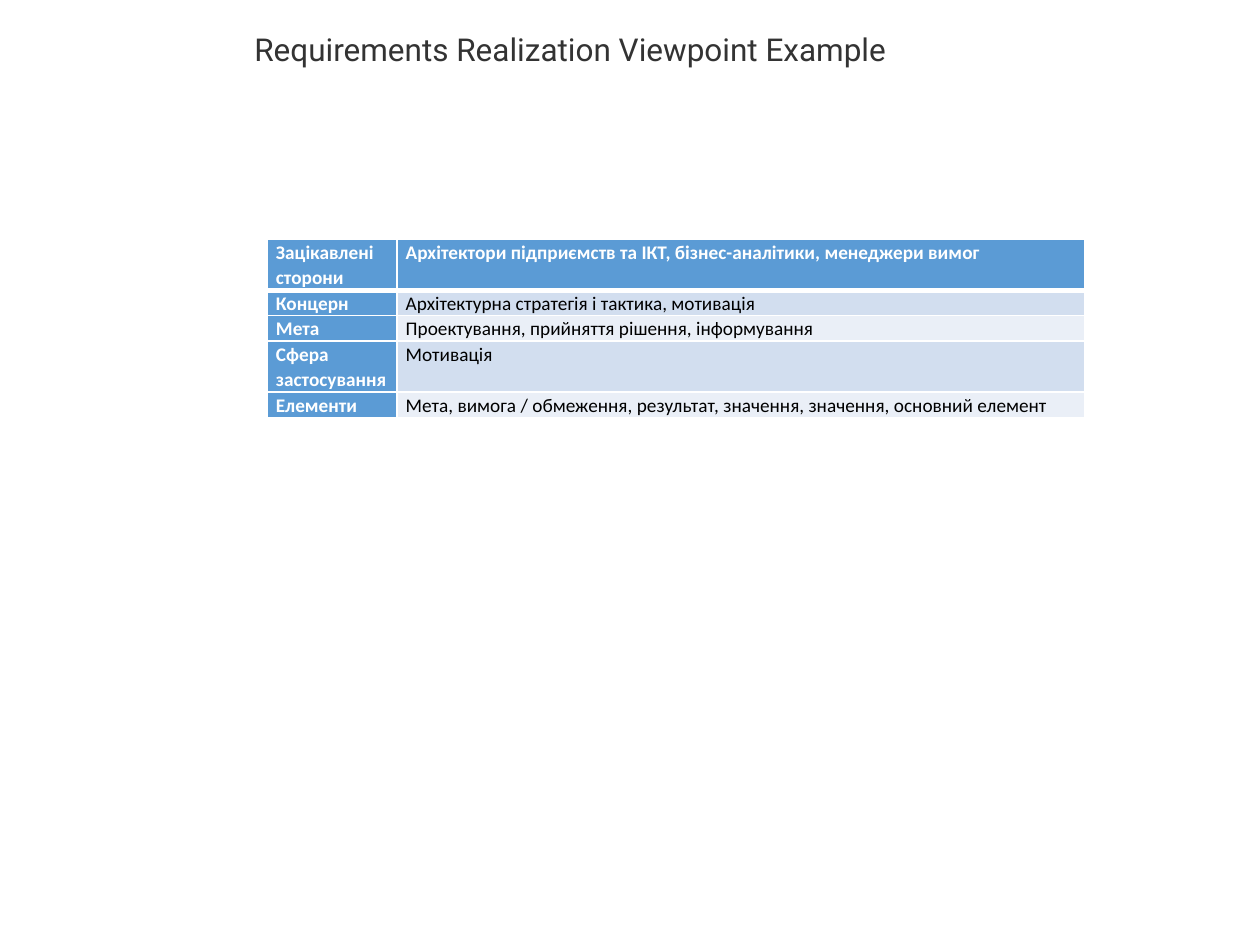
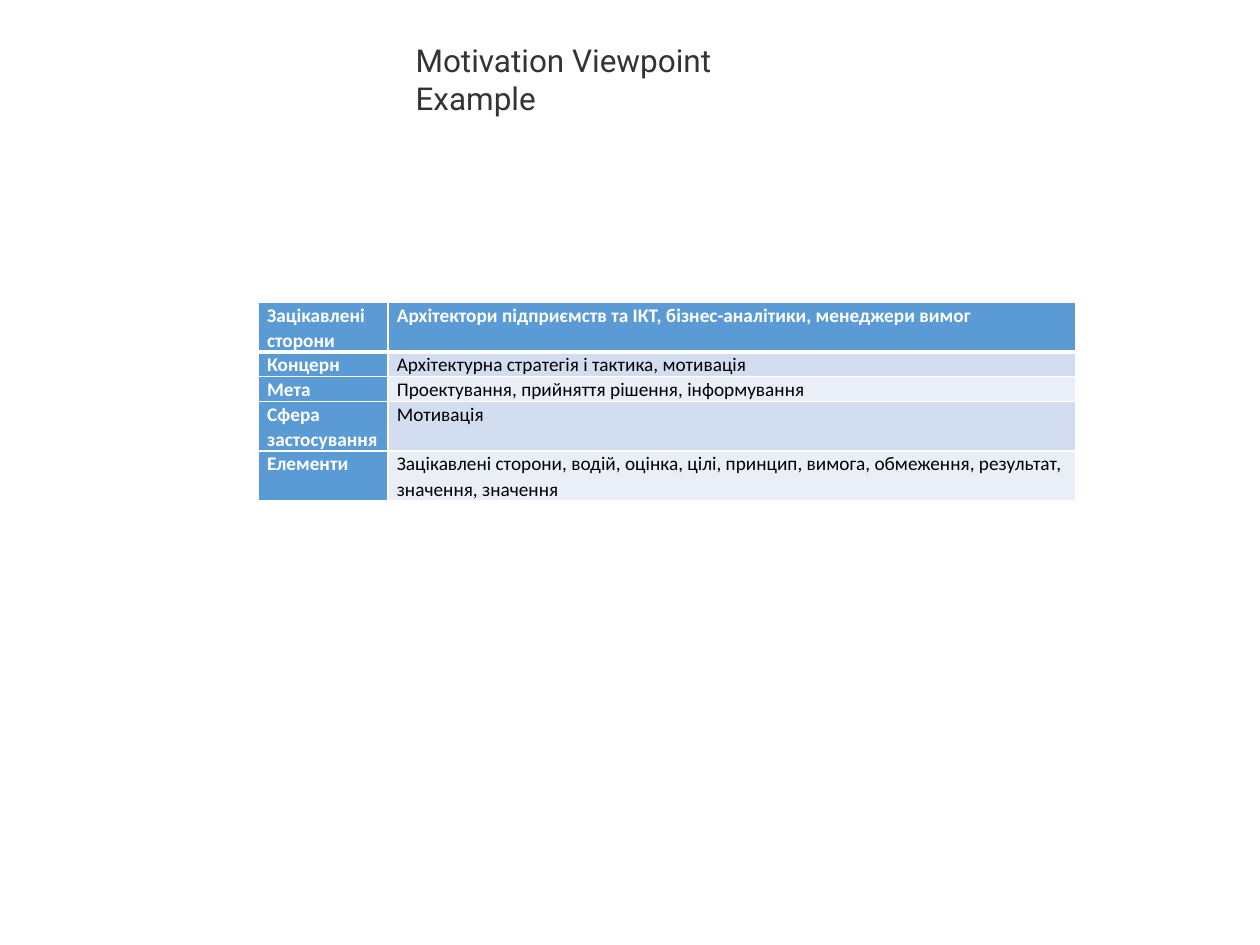
from dataclasses import dataclass

from lxml.etree import SubElement
from pptx import Presentation
from pptx.dml.color import RGBColor
from pptx.enum.text import MSO_AUTO_SIZE
from pptx.oxml.ns import qn
from pptx.util import Inches, Pt


@dataclass(frozen=True)
class Theme:
    """Hold the colours, fonts, sizes and grid of the deck."""
    accent: str = "5B9BD5"
    bands: tuple = ("EAEFF7", "D2DEEF")
    white: str = "FFFFFF"
    body: str = "000000"
    heading: str = "333333"
    heading_font: str = "Roboto"
    body_font: str = "Calibri"
    heading_size: int = 18
    body_size: int = 11
    line_spacing: float = 1.07
    rule: int = 1
    header_rule: int = 3
    columns: int = 100
    rows: int = 75


def write(frame, text, *, font, size, color, bold=False, spacing=None):
    """Write one formatted paragraph into a text frame."""
    paragraph = frame.paragraphs[0]
    paragraph.line_spacing = spacing
    run = paragraph.add_run()
    run.text = text
    run.font.name = font
    run.font.size = Pt(size)
    run.font.bold = bold
    run.font.color.rgb = RGBColor.from_string(color)


def add_border(cell, side, width, color):
    """Draw one side of a cell's border."""
    line = SubElement(cell._tc.get_or_add_tcPr(), qn(f"a:ln{side}"), w=str(Pt(width)))
    fill = SubElement(line, qn("a:solidFill"))
    SubElement(fill, qn("a:srgbClr"), val=color)


class Deck:
    """Build slides on a shared grid and theme."""

    def __init__(self, theme):
        """Start an empty presentation."""
        self.theme = theme
        self.presentation = Presentation()
        self.presentation.slide_width = Inches(10)
        self.presentation.slide_height = Inches(7.5)
        self.slide = None

    def x(self, columns):
        """Turn grid columns into a length."""
        return round(self.presentation.slide_width * columns / self.theme.columns)

    def y(self, rows):
        """Turn grid rows into a length."""
        return round(self.presentation.slide_height * rows / self.theme.rows)

    def add_slide(self):
        """Open a new blank slide."""
        self.slide = self.presentation.slides.add_slide(self.presentation.slide_layouts[6])

    def add_title(self, text, left, top, width, wrap):
        """Place the slide title."""
        frame = self.slide.shapes.add_textbox(
            self.x(left), self.y(top), self.x(width), self.y(4)).text_frame
        frame.word_wrap = wrap
        frame.auto_size = MSO_AUTO_SIZE.SHAPE_TO_FIT_TEXT
        write(frame, text, font=self.theme.heading_font,
              size=self.theme.heading_size, color=self.theme.heading)

    def add_viewpoint(self, entries, left, top, height, line_counts):
        """Place the table that describes a viewpoint."""
        widths = (10.3, 54.6)
        table = self.slide.shapes.add_table(
            len(entries), len(widths), self.x(left), self.y(top),
            self.x(sum(widths)), self.y(height)).table
        table.first_col = True
        for column, width in zip(table.columns, widths):
            column.width = self.x(width)
        for row, lines in zip(table.rows, line_counts):
            row.height = self.y(height * lines / sum(line_counts))
        for row, entry in enumerate(entries):
            for column, text in enumerate(entry):
                self.fill_cell(table.cell(row, column), text, row, column)

    def fill_cell(self, cell, text, row, column):
        """Style and fill one table cell."""
        theme = self.theme
        heading = row == 0 or column == 0
        header_edge = {(0, "B"), (1, "T")}
        for side in "LRTB":
            width = theme.header_rule if (row, side) in header_edge else theme.rule
            add_border(cell, side, width, theme.white)
        cell.fill.solid()
        cell.fill.fore_color.rgb = RGBColor.from_string(
            theme.accent if heading else theme.bands[row % 2])
        cell.margin_left = cell.margin_right = Inches(0.07)
        cell.margin_top = cell.margin_bottom = 0
        write(cell.text_frame, text, font=theme.body_font, size=theme.body_size,
              color=theme.white if heading else theme.body,
              bold=heading, spacing=theme.line_spacing)


SHARED_ENTRIES = [
    ("Зацікавлені сторони",
     "Архітектори підприємств та ІКТ, бізнес-аналітики, менеджери вимог"),
    ("Концерн", "Архітектурна стратегія і тактика, мотивація"),
    ("Мета", "Проектування, прийняття рішення, інформування"),
    ("Сфера застосування", "Мотивація"),
]
REQUIREMENTS_ELEMENTS = (
    "Мета, вимога / обмеження, результат, значення, значення, основний елемент")
MOTIVATION_ELEMENTS = (
    "Зацікавлені сторони, водій, оцінка, цілі, принцип, вимога, обмеження, "
    "результат, значення, значення")


def main():
    """Build and save both viewpoint slides."""
    deck = Deck(Theme())

    deck.add_slide()
    deck.add_viewpoint(SHARED_ENTRIES + [("Елементи", REQUIREMENTS_ELEMENTS)],
                       left=21.2, top=19, height=13.7, line_counts=(2, 1, 1, 2, 1))
    deck.add_title("Requirements Realization Viewpoint Example",
                   left=19.2, top=1.9, width=59.2, wrap=True)

    deck.add_slide()
    deck.add_viewpoint(SHARED_ENTRIES + [("Елементи", MOTIVATION_ELEMENTS)],
                       left=20.5, top=24, height=15.3, line_counts=(2, 1, 1, 2, 2))
    deck.add_title("Motivation Viewpoint Example",
                   left=32, top=2.8, width=35.6, wrap=False)

    deck.presentation.save("out.pptx")


if __name__ == "__main__":
    main()
